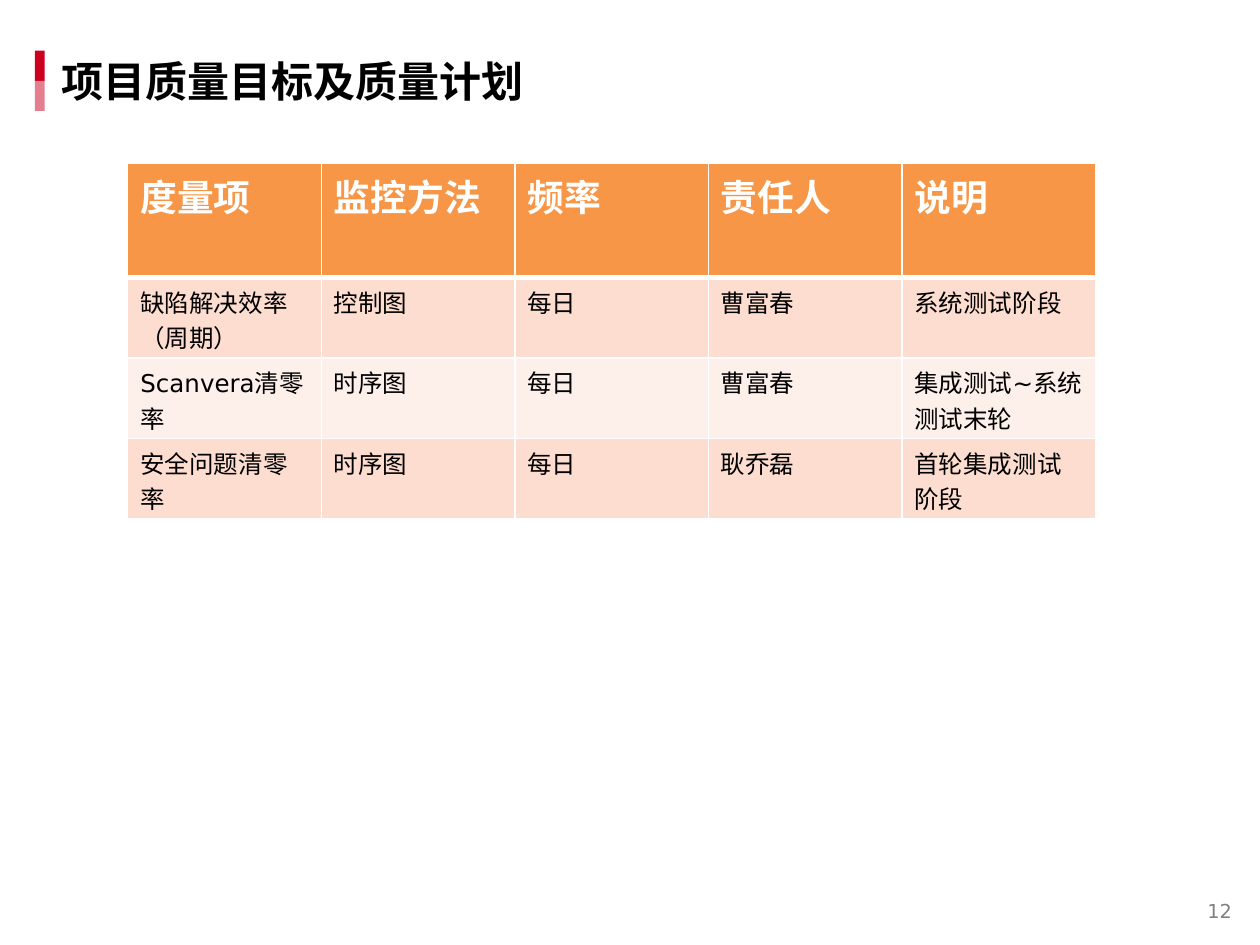
from lxml.etree import SubElement
from pptx import Presentation
from pptx.dml.color import RGBColor
from pptx.enum.shapes import MSO_SHAPE
from pptx.enum.text import MSO_ANCHOR, PP_ALIGN
from pptx.oxml.ns import qn
from pptx.util import Pt

# Content
TITLE = "项目质量目标及质量计划"
PAGE_NUMBER = "12"
ROWS = [
    ("度量项", "监控方法", "频率", "责任人", "说明"),
    ("缺陷解决效率（周期）", "控制图", "每日", "曹富春", "系统测试阶段"),
    ("Scanvera清零率", "时序图", "每日", "曹富春", "集成测试~系统测试末轮"),
    ("安全问题清零率", "时序图", "每日", "耿乔磊", "首轮集成测试阶段"),
]

# Style
LATIN_FONT = "DejaVu Sans"
CHINESE_FONT = "Noto Sans CJK SC"
BLACK = RGBColor(0x00, 0x00, 0x00)
WHITE = RGBColor(0xFF, 0xFF, 0xFF)
GRAY = RGBColor(0x80, 0x80, 0x80)
RED = RGBColor(0xCE, 0x00, 0x1F)
PINK = RGBColor(0xE5, 0x7E, 0x8F)
ORANGE = RGBColor(0xF7, 0x96, 0x46)
BAND_DARK = RGBColor(0xFC, 0xDD, 0xCF)
BAND_LIGHT = RGBColor(0xFD, 0xEF, 0xE9)

# Layout in points
BAR_LEFT, BAR_TOP, BAR_WIDTH, BAR_HEIGHT = 20, 29, 5.6, 17.2
TABLE_LEFT, TABLE_TOP = 73, 93
COLUMN_WIDTH = 110.6
HEADER_HEIGHT, ROW_HEIGHT = 65.5, 46


def format_text(frame, size, color, bold=False, font=LATIN_FONT):
    for para in frame.paragraphs:
        for span in para.runs:
            span.font.name = font
            span.font.size = Pt(size)
            span.font.bold = bold
            span.font.color.rgb = color
            east_asian = SubElement(span.font._element, qn("a:ea"))
            east_asian.set("typeface", CHINESE_FONT)


def add_text(page, text, left, top, width, height):
    box = page.shapes.add_textbox(Pt(left), Pt(top), Pt(width), Pt(height))
    frame = box.text_frame
    frame.word_wrap = True
    frame.vertical_anchor = MSO_ANCHOR.MIDDLE
    frame.margin_left = frame.margin_right = Pt(9.2)
    frame.margin_top = frame.margin_bottom = Pt(5)
    frame.text = text
    return frame


def set_borders(cell, bottom_width):
    properties = cell._tc.get_or_add_tcPr()
    sides = (("a:lnL", 1), ("a:lnR", 1), ("a:lnT", 1), ("a:lnB", bottom_width))
    for position, (side, width) in enumerate(sides):
        line = SubElement(properties, qn(side), w=str(Pt(width)))
        fill = SubElement(line, qn("a:solidFill"))
        SubElement(fill, qn("a:srgbClr"), val=str(WHITE))
        properties.insert(position, line)  # borders precede the cell fill


def add_plan_table(page):
    height = HEADER_HEIGHT + ROW_HEIGHT * (len(ROWS) - 1)
    table = page.shapes.add_table(
        len(ROWS), len(ROWS[0]), Pt(TABLE_LEFT), Pt(TABLE_TOP),
        Pt(COLUMN_WIDTH * len(ROWS[0])), Pt(height)).table
    for column in table.columns:
        column.width = Pt(COLUMN_WIDTH)
    for number, texts in enumerate(ROWS):
        header = number == 0
        table.rows[number].height = Pt(HEADER_HEIGHT if header else ROW_HEIGHT)
        band = BAND_DARK if number % 2 else BAND_LIGHT
        for cell, text in zip(table.rows[number].cells, texts):
            cell.text_frame.text = text
            format_text(cell.text_frame, 21 if header else 14,
                        WHITE if header else BLACK, bold=header)
            cell.fill.solid()
            cell.fill.fore_color.rgb = ORANGE if header else band
            set_borders(cell, 3 if header else 1)


def main():
    deck = Presentation()
    deck.slide_width, deck.slide_height = Pt(720), Pt(540)
    page = deck.slides.add_slide(deck.slide_layouts[6])

    # Two-tone bar beside the title
    for step, color in enumerate((RED, PINK)):
        bar = page.shapes.add_shape(
            MSO_SHAPE.RECTANGLE, Pt(BAR_LEFT), Pt(BAR_TOP + step * BAR_HEIGHT),
            Pt(BAR_WIDTH), Pt(BAR_HEIGHT))
        bar.shadow.inherit = False
        bar.fill.solid()
        bar.fill.fore_color.rgb = color
        bar.line.fill.background()

    # Page number
    number = add_text(page, PAGE_NUMBER, 674, 505.5, 46, 29.5)
    number.paragraphs[0].alignment = PP_ALIGN.CENTER
    format_text(number, 11, GRAY)

    # Title
    title = add_text(page, TITLE, 26, 29, 335, 34.5)
    format_text(title, 24, BLACK, bold=True, font=CHINESE_FONT)

    add_plan_table(page)
    deck.save("out.pptx")


if __name__ == "__main__":
    main()
